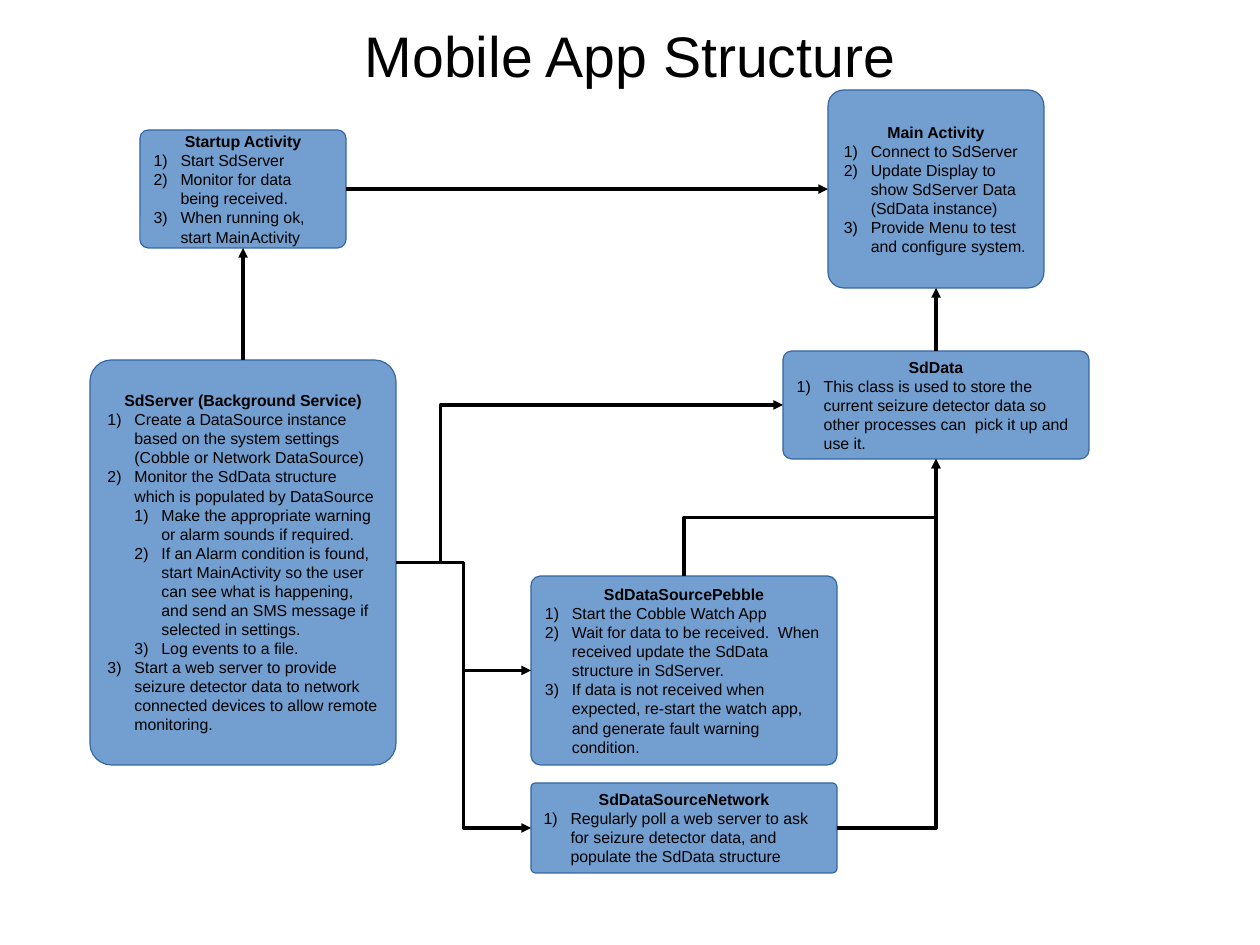
from pptx import Presentation, util as u
from pptx.dml.color import RGBColor
from pptx.enum import shapes, text
from pptx.oxml.ns import qn
from lxml import etree

PX = 8000  # EMU
FONT = "Arial"
COLORS = {"ink": "000000", "box": "729FCF", "edge": "3465A4"}
TOP, LEFT, BOTTOM, RIGHT = range(4)  # connection sites of a rectangle
INDENT = 27

# name: (box in px, corner radius ratio, heading, [(level, item)])
BOXES = {
    "startup": ((140, 130, 206, 118), 0.07, "Startup Activity", [
        (0, "Start SdServer"),
        (0, "Monitor for data being received."),
        (0, "When running ok, start MainActivity")]),
    "main": ((828, 90, 216, 198), 0.08, "Main Activity", [
        (0, "Connect to SdServer"),
        (0, "Update Display to show SdServer Data (SdData instance)"),
        (0, "Provide Menu to test and configure system.")]),
    "server": ((90, 360, 306, 405), 0.07, "SdServer (Background Service)", [
        (0, "Create a DataSource instance based on the system settings "
            "(Cobble or Network DataSource)"),
        (0, "Monitor the SdData structure which is populated by DataSource"),
        (1, "Make the appropriate warning or alarm sounds if required."),
        (1, "If an Alarm condition is found, start MainActivity so the user can see "
            "what is happening, and send an SMS message if selected in settings."),
        (1, "Log events to a file."),
        (0, "Start a web server to provide seizure detector data to network "
            "connected devices to allow remote monitoring.")]),
    "watch": ((531, 576, 306, 189), 0.05, "SdDataSourcePebble", [
        (0, "Start the Cobble Watch App"),
        (0, "Wait for data to be received.  When received update the SdData "
            "structure in SdServer."),
        (0, "If data is not received when expected, re-start the watch app, "
            "and generate fault warning condition.")]),
    "data": ((783, 351, 306, 108), 0.08, "SdData", [
        (0, "This class is used to store the current seizure detector data so "
            "other processes can  pick it up and use it.")]),
    "network": ((531, 783, 306, 90), 0.05, "SdDataSourceNetwork", [
        (0, "Regularly poll a web server to ask for seizure detector data, "
            "and populate the SdData structure")]),
}

# from, site, to, site, route, share of the way at which the route bends
ARROWS = [
    ("startup", RIGHT, "main", LEFT, "straight", None),
    ("server", TOP, "startup", BOTTOM, "straight", None),
    ("data", TOP, "main", BOTTOM, "straight", None),
    ("server", RIGHT, "watch", LEFT, "across", 0.5),
    ("server", RIGHT, "network", LEFT, "across", 0.5),
    ("server", RIGHT, "data", LEFT, "across", 0.116),
    ("watch", TOP, "data", BOTTOM, "upward", 0.5),
    ("network", RIGHT, "data", BOTTOM, "corner", None),
]


def rgb(name):
    return RGBColor.from_string(COLORS[name])


def write(p, words, size=10, bold=False, align=None):
    p.alignment = align
    r = p.add_run()
    r.text = words
    r.font.name, r.font.size, r.font.bold = FONT, u.Pt(size), bold
    r.font.color.rgb = rgb("ink")


def number(p, level):
    p.level = level
    pPr = p._p.get_or_add_pPr()
    pPr.set("marL", str((level + 1) * INDENT * PX))
    pPr.set("indent", str(-INDENT * PX))
    etree.SubElement(pPr, qn("a:buAutoNum"), type="arabicParenR")


def add_title(s, box, words):
    title = s.shapes.title
    title.left, title.top, title.width, title.height = (v * PX for v in box)
    tf = title.text_frame
    tf.margin_left = tf.margin_right = tf.margin_top = tf.margin_bottom = 0
    tf.vertical_anchor = text.MSO_ANCHOR.MIDDLE
    tf.auto_size = text.MSO_AUTO_SIZE.NONE
    write(tf.paragraphs[0], words, size=36, align=text.PP_ALIGN.CENTER)


def add_box(s, box, corner, heading, items):
    sp = s.shapes.add_shape(shapes.MSO_SHAPE.ROUNDED_RECTANGLE, *(v * PX for v in box))
    sp.adjustments[0] = corner
    sp.shadow.inherit = False
    sp.fill.solid()
    sp.fill.fore_color.rgb = rgb("box")
    sp.line.color.rgb = rgb("edge")
    sp.line.width = 0
    tf = sp.text_frame
    tf.word_wrap = True
    tf.vertical_anchor = text.MSO_ANCHOR.MIDDLE
    write(tf.paragraphs[0], heading, bold=True, align=text.PP_ALIGN.CENTER)
    for level, item in items:
        p = tf.add_paragraph()
        number(p, level)
        write(p, item, align=text.PP_ALIGN.LEFT)
    return sp


def turn_upward(c):
    """Make an elbow that rises to the right leave and arrive vertically."""
    x, y, w, h = c.left, c.top, c.width, c.height
    c.left, c.top = x + (w - h) // 2, y + (h - w) // 2
    c.width, c.height = h, w
    xfrm = c._element.spPr.find(qn("a:xfrm"))
    for key, value in (("rot", "5400000"), ("flipH", "1"), ("flipV", "1")):
        xfrm.set(key, value)


def add_arrow(s, start, start_site, end, end_site, route, bend):
    kind = shapes.MSO_CONNECTOR
    c = s.shapes.add_connector(
        kind.STRAIGHT if route == "straight" else kind.ELBOW, 0, 0, 0, 0)
    c.begin_connect(start, start_site)
    c.end_connect(end, end_site)
    c.line.color.rgb = rgb("ink")
    c.line.width = 0
    etree.SubElement(c.line._get_or_add_ln(), qn("a:tailEnd"), type="triangle")
    spPr = c._element.spPr
    etree.SubElement(spPr, qn("a:effectLst"))
    geom = spPr.find(qn("a:prstGeom"))
    if route == "corner":
        geom.set("prst", "bentConnector2")
    if route == "upward":
        turn_upward(c)
    if bend:
        etree.SubElement(geom.find(qn("a:avLst")), qn("a:gd"),
                         name="adj1", fmla=f"val {round(bend * 100000)}")


def main():
    prs = Presentation()
    prs.slide_width, prs.slide_height = 1260 * PX, 945 * PX
    s = prs.slides.add_slide(prs.slide_layouts[5])
    add_title(s, (63, 15, 1134, 79), "Mobile App Structure")
    boxes = {name: add_box(s, *parts) for name, parts in BOXES.items()}
    for start, start_site, end, end_site, route, bend in ARROWS:
        add_arrow(s, boxes[start], start_site, boxes[end], end_site, route, bend)
    prs.save("out.pptx")


if __name__ == "__main__":
    main()
